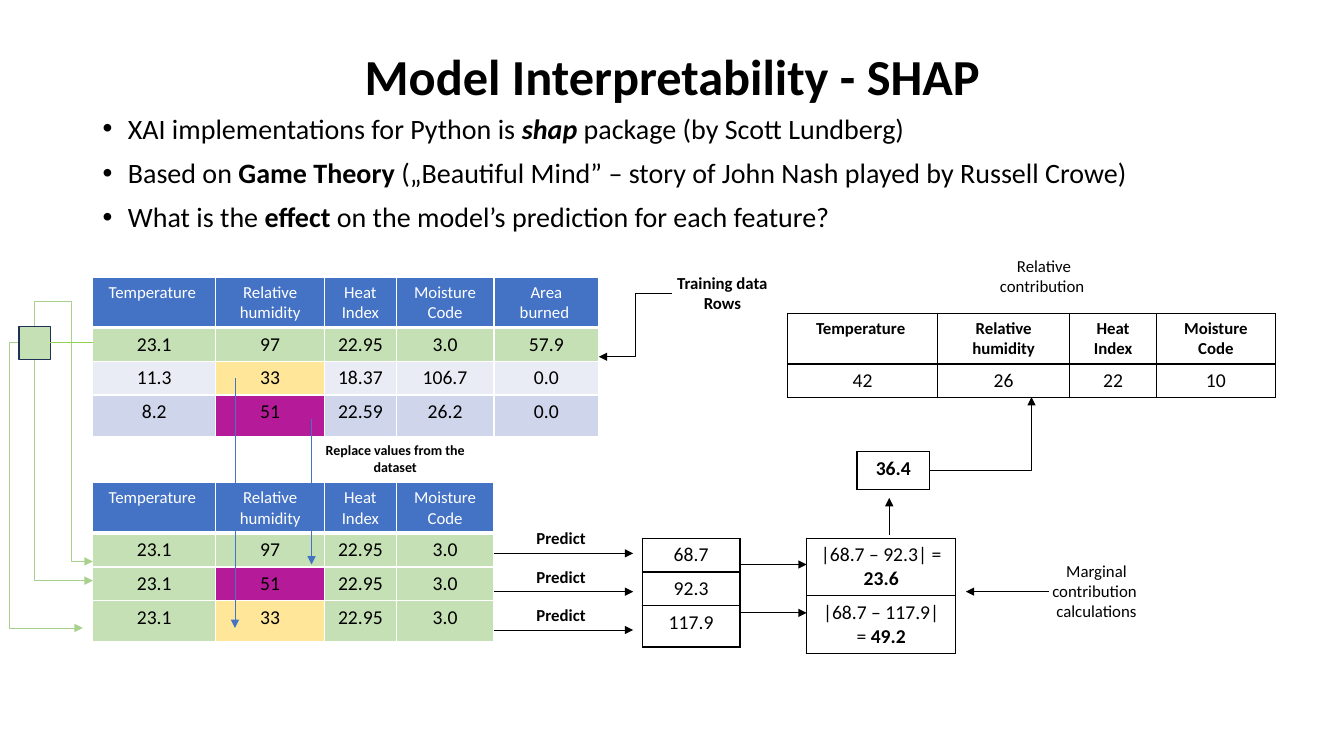
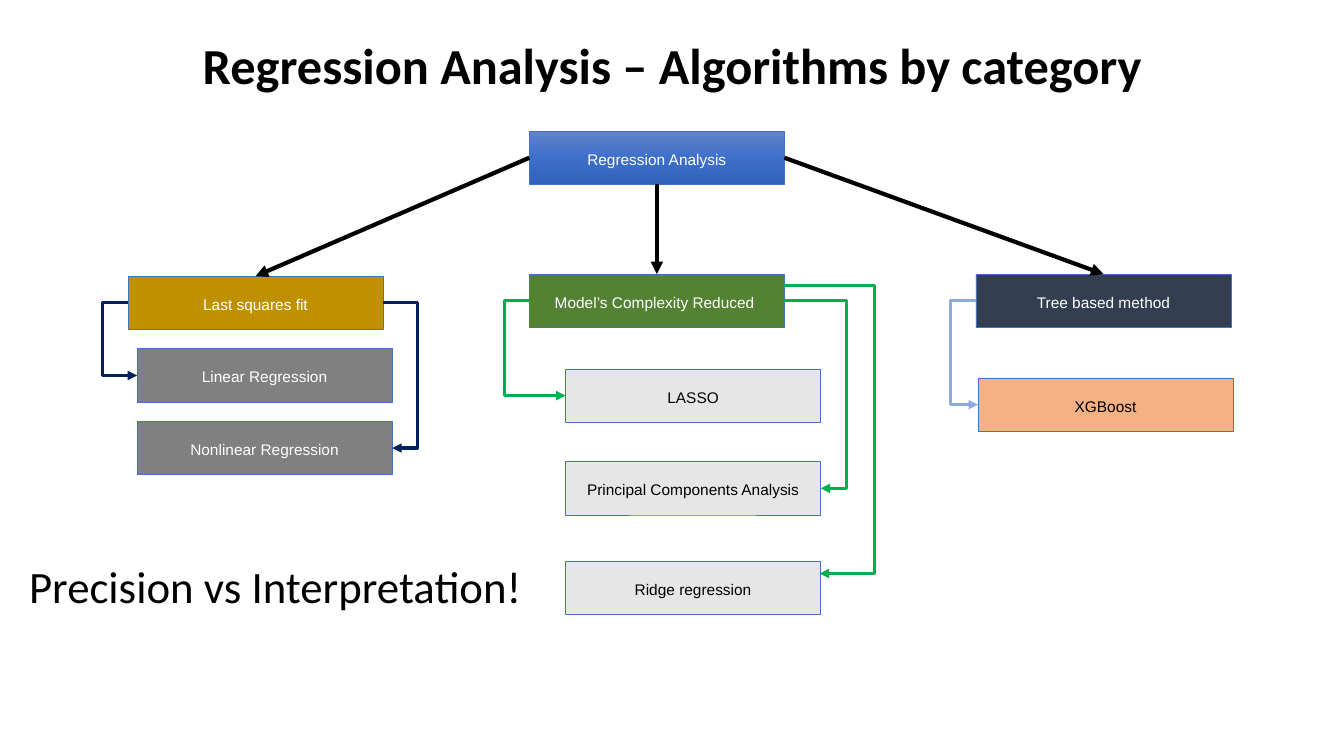
"""Builds two slides on model interpretability and regression algorithms."""
import copy
import dataclasses

import lxml.etree
import pptx
import pptx.dml.color
import pptx.enum.dml
import pptx.enum.shapes
import pptx.enum.text
import pptx.oxml.ns
import pptx.util

Inches = pptx.util.Inches
Pt = pptx.util.Pt
qn = pptx.oxml.ns.qn
ALIGN = pptx.enum.text.PP_ALIGN
ANCHOR = pptx.enum.text.MSO_ANCHOR
CONNECTOR = pptx.enum.shapes.MSO_CONNECTOR
SHAPE = pptx.enum.shapes.MSO_SHAPE
TOP, LEFT, BOTTOM, RIGHT = range(4)


@dataclasses.dataclass(frozen=True)
class Theme:
    black: str = "000000"
    white: str = "FFFFFF"
    blue: str = "4472C4"
    mint: str = "C5E0B4"
    leaf: str = "A9D18E"
    lime: str = "92D050"
    yellow: str = "FFE699"
    magenta: str = "B51B98"
    band_light: str = "E9EBF5"
    band_dark: str = "CFD5EA"
    square_line: str = "1E3256"
    gold: str = "BF9000"
    gray: str = "808080"
    silver: str = "E7E6E6"
    forest: str = "548235"
    green: str = "00B050"
    navy: str = "002060"
    slate: str = "333F50"
    orange: str = "F4B183"
    sky: str = "8FAADC"
    root: tuple = ("6183CB", "3E70CA", "3062BB")
    font: str = "Calibri"
    box_font: str = "Arial"
    title: int = 36
    callout: int = 32
    body: int = 20
    value: int = 14
    label: int = 12
    box: int = 11
    note: int = 10
    thin: float = 0.5
    border: float = 1
    medium: float = 2.25
    thick: float = 3


T = Theme()


def rgb(color):
    return pptx.dml.color.RGBColor.from_string(color)


class Deck:
    """Holds the style and the current slide, with a method per element."""

    def __init__(self):
        self.prs = pptx.Presentation()
        self.prs.slide_width = Inches(13.33)
        self.prs.slide_height = Inches(7.5)
        self.s = None

    def slide(self, title, height):
        self.s = self.prs.slides.add_slide(self.prs.slide_layouts[6])
        tf = self.text(0.92, 0.4, 11.5, height, title, T.title, bold=True)
        tf.vertical_anchor = ANCHOR.MIDDLE
        tf.paragraphs[0].line_spacing = 0.9

    def style_text(self, tf, text, size, color=T.black, bold=False, font=T.font,
                   align=ALIGN.CENTER):
        tf.text = text.replace("*", "").replace("_", "")
        for p, line in zip(tf.paragraphs, text.split("\n")):
            p.text = ""
            p.alignment = align
            for i, part in enumerate(line.split("*")):
                if not part:
                    continue
                r = p.add_run()
                r.text = part.lstrip("_")
                r.font.name = font
                r.font.size = Pt(size)
                r.font.bold = bold or i % 2 == 1
                r.font.italic = part.startswith("_")
                r.font.color.rgb = rgb(color)

    def text(self, x, y, w, h, text, size, bold=False, align=ALIGN.CENTER):
        sp = self.s.shapes.add_textbox(Inches(x), Inches(y), Inches(w), Inches(h))
        tf = sp.text_frame
        tf.word_wrap = True
        self.style_text(tf, text, size, bold=bold, align=align)
        return tf

    def bullets(self, x, y, w, h, lines):
        tf = self.text(x, y, w, h, "\n".join(lines), T.body, align=ALIGN.LEFT)
        for i, p in enumerate(tf.paragraphs):
            p.line_spacing = 0.9
            if i:
                p.space_before = Pt(10)
            pPr = p._p.get_or_add_pPr()
            pPr.set("marL", str(Inches(0.25)))
            pPr.set("indent", str(-Inches(0.25)))
            lxml.etree.SubElement(pPr, qn("a:buFont")).set("typeface", "Arial")
            lxml.etree.SubElement(pPr, qn("a:buChar")).set("char", "•")

    def rect(self, x, y, w, h, fill, line=T.blue, width=T.thin):
        sp = self.s.shapes.add_shape(SHAPE.RECTANGLE, Inches(x), Inches(y),
                                     Inches(w), Inches(h))
        sp.shadow.inherit = False
        if isinstance(fill, tuple):
            self.gradient(sp, fill)
        else:
            sp.fill.solid()
            sp.fill.fore_color.rgb = rgb(fill)
        sp.line.color.rgb = rgb(line)
        sp.line.width = Pt(width)
        return sp

    def gradient(self, sp, colors):
        sp.fill.gradient()
        sp.fill.gradient_angle = 270
        stops = sp.element.spPr.find(".//" + qn("a:gsLst"))
        stops.insert(1, copy.deepcopy(stops[0]))
        for i, (stop, color) in enumerate(zip(sp.fill.gradient_stops, colors)):
            stop.position = i / (len(colors) - 1)
            stop.color.rgb = rgb(color)

    def box(self, x, y, text, fill, color=T.white):
        sp = self.rect(x, y, 2.53, 0.53, fill)
        tf = sp.text_frame
        tf.word_wrap = True
        tf.vertical_anchor = ANCHOR.MIDDLE
        self.style_text(tf, text, T.box, color, font=T.box_font)
        tf.paragraphs[0].line_spacing = 1.15
        return sp

    def stroke(self, sp, color, width, arrow):
        sp.line.color.rgb = rgb(color)
        sp.line.width = Pt(width)
        spPr = sp.element.spPr
        if arrow:
            ln = spPr.find(qn("a:ln"))
            lxml.etree.SubElement(ln, qn("a:tailEnd")).set("type", "triangle")
        lxml.etree.SubElement(spPr, qn("a:effectLst"))

    def connector(self, start, end, kind):
        return self.s.shapes.add_connector(
            kind, *(Inches(v) for v in (*start, *end)))

    def line(self, start, end, color=T.black, arrow=True):
        cx = self.connector(start, end, CONNECTOR.STRAIGHT)
        self.stroke(cx, color, T.thin, arrow)

    def bend(self, cx, via):
        ratio = (Inches(via) - cx.begin_x) / (cx.end_x - cx.begin_x)
        geom = cx.element.spPr.find(qn("a:prstGeom"))
        guides = geom.find(qn("a:avLst"))
        if guides is None:
            guides = lxml.etree.SubElement(geom, qn("a:avLst"))
        gd = lxml.etree.SubElement(guides, qn("a:gd"))
        gd.set("name", "adj1")
        gd.set("fmla", f"val {round(ratio * 100000)}")

    def elbow(self, start, via, end, color=T.black, width=T.thin):
        cx = self.connector(start, end, CONNECTOR.ELBOW)
        self.bend(cx, via)
        self.stroke(cx, color, width, True)

    def glue(self, a, a_side, b, b_side, color, width, via=None):
        kind = CONNECTOR.STRAIGHT if via is None else CONNECTOR.ELBOW
        cx = self.connector((0, 0), (1, 1), kind)
        cx.begin_connect(a, a_side)
        cx.end_connect(b, b_side)
        if via is not None:
            self.bend(cx, via)
        self.stroke(cx, color, width, True)

    def route(self, points, color=T.black):
        pts = [(Inches(x), Inches(y)) for x, y in points]
        fb = self.s.shapes.build_freeform(*pts[0])
        fb.add_line_segments(pts[1:], close=False)
        sp = fb.convert_to_shape()
        sp.fill.background()
        self.stroke(sp, color, T.thin, True)

    def borders(self, cell, color, bottom):
        tcPr = cell._tc.get_or_add_tcPr()
        for i, side in enumerate(("lnL", "lnR", "lnT", "lnB")):
            ln = lxml.etree.Element(qn("a:" + side))
            ln.set("w", str(Pt(bottom if side == "lnB" else T.border)))
            fill = lxml.etree.SubElement(ln, qn("a:solidFill"))
            lxml.etree.SubElement(fill, qn("a:srgbClr")).set("val", color)
            tcPr.insert(i, ln)

    def table(self, x, y, cols, heights, rows, fills=None, header=False, bold=False):
        table = self.s.shapes.add_table(
            len(rows), len(cols), Inches(x), Inches(y),
            Inches(sum(cols)), Inches(sum(heights))).table
        table.first_row = table.horz_banding = False
        for col, w in zip(table.columns, cols):
            col.width = Inches(w)
        for i, row in enumerate(rows):
            table.rows[i].height = Inches(heights[i])
            head = header and i == 0
            for j, text in enumerate(row):
                cell = table.cell(i, j)
                color = T.white if head and fills else T.black
                self.style_text(cell.text_frame, text, T.label if head else T.value,
                                color, bold or (head and not fills))
                if fills:
                    cell.fill.solid()
                    cell.fill.fore_color.rgb = rgb(fills[i][j])
                else:
                    cell.fill.background()
                self.borders(cell, T.white if fills else T.black,
                             3 if head and fills else T.border)


def shap_slide(d):
    d.slide("Model Interpretability - SHAP", 0.78)
    d.bullets(0.92, 1.09, 11.5, 1.4, [
        "XAI implementations for Python is *_shap* package (by Scott Lundberg)",
        "Based on *Game Theory *(„Beautiful Mind” – story of John Nash played by Russell Crowe)",
        "What is the *effect* on the model’s prediction for each feature?"])

    features = ["Temperature ", "Relative humidity", "Heat Index", "Moisture Code"]
    cols = [1.22, 1.08, 0.71, 0.97]
    heights = [0.5, 0.33, 0.33, 0.41]

    def fills(bases, accents, n):
        return [[T.blue] * n] + [
            [base, accent] + [base] * (n - 2) for base, accent in zip(bases, accents)]

    d.table(0.92, 2.75, cols + [1.04], heights, [
        features + ["Area burned "],
        ["23.1", "97", "22.95", "3.0", "57.9"],
        ["11.3", "33", "18.37", "106.7", "0.0"],
        ["8.2", "51", "22.59", "26.2", "0.0"]],
        fills([T.mint, T.band_light, T.band_dark], [T.mint, T.yellow, T.magenta], 5),
        header=True)
    d.text(6.53, 2.66, 1.27, 0.5, "Training data\nRows", T.label, bold=True)
    d.elbow((6.67, 2.91), 6.3, (5.94, 3.54))
    d.table(0.92, 4.79, cols, heights,
            [features] + [["23.1", v, "22.95", "3.0"] for v in ("97", "51", "33")],
            fills([T.mint] * 3, [T.mint, T.magenta, T.yellow], 4), header=True)

    d.route([(0.34, 3.24), (0.34, 2.99), (0.71, 2.99), (0.71, 5.57), (0.92, 5.57)], T.leaf)
    d.route([(0.34, 3.57), (0.34, 5.76), (0.92, 5.76)], T.leaf)
    d.elbow((0.19, 3.4), 0.09, (0.82, 6.23), T.leaf)
    d.rect(0.19, 3.24, 0.31, 0.33, T.mint, T.square_line, T.border)
    d.line((0.92, 3.4), (0.5, 3.4), T.lime, arrow=False)
    d.line((3.09, 4.16), (3.09, 5.6), T.blue)
    d.line((2.33, 3.75), (2.33, 6.23), T.blue)
    d.text(3.09, 4.33, 1.66, 0.44, "Replace values from the dataset", T.note, bold=True)

    for i in range(3):
        y = 5.49 + 0.38 * i
        d.line((4.9, y), (6.28, y))
        d.text(4.93, y - 0.3, 1.27, 0.3, "Predict", T.label, bold=True)
    d.table(6.37, 5.34, [0.97], heights[1:], [["68.7"], ["92.3"], ["117.9"]])
    for y in (5.6, 6.08):
        d.line((7.34, y), (8, y))
    d.table(8, 5.34, [1.48], [0.57, 0.57],
            [["|68.7 – 92.3| = *23.6*"], ["|68.7 – 117.9| = *49.2*"]])
    d.line((8.82, 5.31), (8.82, 4.94))
    d.table(8.5, 4.48, [0.72], [0.38], [["36.4"]], bold=True)
    d.table(7.81, 3.11, [1.49, 1.31, 0.86, 1.18], heights[:2],
            [features, ["42", "26", "22", "10"]], header=True)
    d.route([(9.22, 4.67), (10.23, 4.67), (10.23, 3.94)])
    d.line((10.4, 5.87), (9.58, 5.87))
    d.text(10.24, 5.51, 1.27, 0.71, "Marginal contribution \ncalculations", T.label)
    d.text(9.72, 2.49, 1.27, 0.5, "Relative contribution ", T.label)


def regression_slide(d):
    d.slide("Regression Analysis – Algorithms by category", 0.55)
    root = d.box(5.25, 1.3, "Regression Analysis", T.root)
    fit = d.box(1.27, 2.74, "Last squares fit", T.gold)
    linear = d.box(1.36, 3.46, "Linear Regression", T.gray)
    nonlinear = d.box(1.36, 4.18, "Nonlinear Regression", T.gray)
    reduced = d.box(5.25, 2.72, "Model’s Complexity Reduced ", T.forest)
    lasso = d.box(5.61, 3.66, "LASSO", T.silver, T.black)
    components = d.box(5.61, 4.58, "Principal Components Analysis", T.silver, T.black)
    d.box(5.61, 5.57, "Ridge regression", T.silver, T.black)
    tree = d.box(9.68, 2.72, "Tree based method", T.slate)
    boost = d.box(9.7, 3.75, "XGBoost", T.orange, T.black)

    for side, branch in ((LEFT, fit), (BOTTOM, reduced), (RIGHT, tree)):
        d.glue(root, side, branch, TOP, T.black, T.thick)
    for parent, child, side, color, via in (
            (fit, linear, LEFT, T.navy, 1.02),
            (fit, nonlinear, RIGHT, T.navy, 4.14),
            (reduced, lasso, LEFT, T.green, 5),
            (reduced, components, RIGHT, T.green, 8.4),
            (tree, boost, LEFT, T.sky, 9.43)):
        d.glue(parent, side, child, side, color, T.medium, via)
    d.elbow((7.78, 2.83), 8.67, (8.13, 5.69), T.green, T.medium)
    tf = d.text(0.19, 5.49, 5.24, 0.64, "Precision vs Interpretation!",
                T.callout, align=ALIGN.LEFT)
    tf.word_wrap = False


def main():
    d = Deck()
    shap_slide(d)
    regression_slide(d)
    d.prs.save("out.pptx")


if __name__ == "__main__":
    main()
